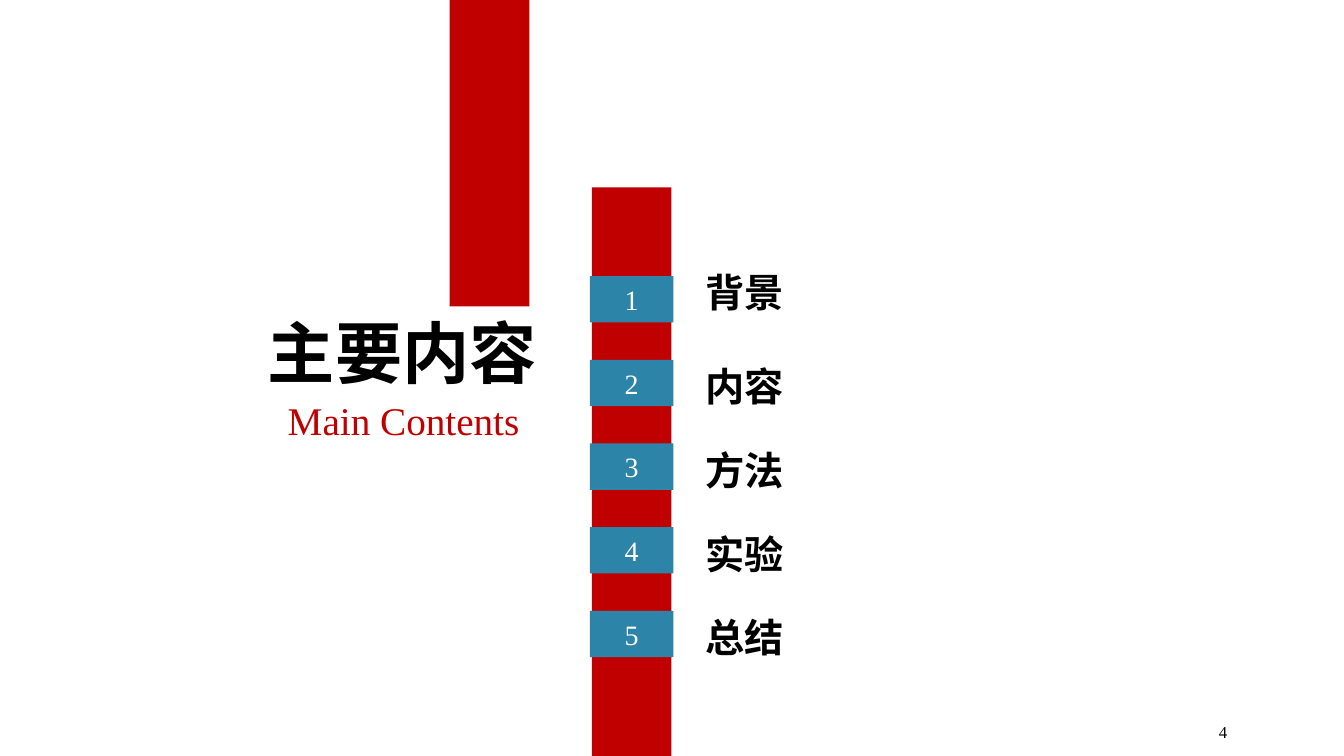
from pptx import Presentation
from pptx.dml.color import RGBColor
from pptx.enum.shapes import MSO_SHAPE
from pptx.enum.text import MSO_ANCHOR, PP_ALIGN
from pptx.util import Pt

RECT = MSO_SHAPE.RECTANGLE
TOP, MIDDLE = MSO_ANCHOR.TOP, MSO_ANCHOR.MIDDLE
LEFT, CENTER, RIGHT = PP_ALIGN.LEFT, PP_ALIGN.CENTER, PP_ALIGN.RIGHT
PX = 9144  # 100 px to the inch
RED, BLUE, BLACK, WHITE = "C00000", "2D84A9", "000000", "FFFFFF"

prs = Presentation()
prs.slide_width, prs.slide_height = 1333 * PX, 750 * PX
s = prs.slides.add_slide(prs.slide_layouts[6])


def add_box(x, y, w, h, fill=None):
    """Add a filled rectangle, or a text box when there is no fill."""
    box = [v * PX for v in (x, y, w, h)]
    if fill is None:
        return s.shapes.add_textbox(*box)
    sp = s.shapes.add_shape(RECT, *box)
    sp.shadow.inherit = False
    sp.fill.solid()
    sp.fill.fore_color.rgb = RGBColor.from_string(fill)
    sp.line.fill.background()
    return sp


def write(sp, text, size, color, align=LEFT, anchor=TOP, bold=False):
    tf = sp.text_frame
    tf.word_wrap = True
    tf.vertical_anchor = anchor
    tf.text = text
    p = tf.paragraphs[0]
    p.alignment = align
    font = p.runs[0].font
    font.name, font.size, font.bold = "Times New Roman", Pt(size), bold
    font.color.rgb = RGBColor.from_string(color)


# Red bars and title
add_box(446, 0, 79, 304, RED)
add_box(587, 186, 79, 564, RED)
write(add_box(244, 304, 310, 91), "主要内容", 48, BLACK, CENTER, bold=True)
write(add_box(185, 388, 340, 57), "Main Contents", 28, RED, RIGHT)

# Numbered sections; the first label sits a little higher than the rest
sections = [("背景", -13), ("内容", -2), ("方法", -2), ("实验", -2), ("总结", -2)]
for i, (label, offset) in enumerate(sections):
    y = 274 + 83 * i
    write(add_box(585, y, 83, 46, BLUE), str(i + 1), 20, WHITE, CENTER, MIDDLE)
    write(add_box(690, y + offset, 327, 57), label, 28, BLACK, bold=True)

# Slide number
write(add_box(927, 706, 300, 40), "4", 12, BLACK, RIGHT, MIDDLE)

prs.save("out.pptx")
